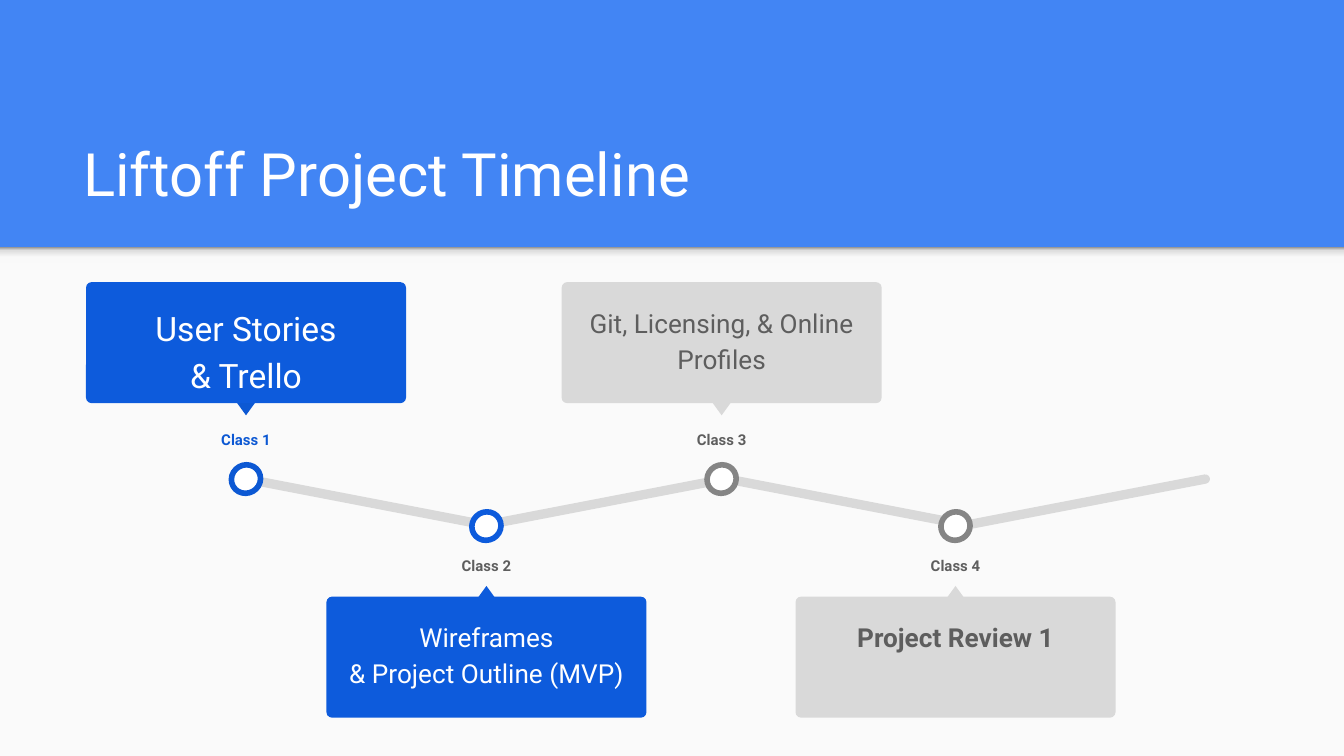
from copy import deepcopy

from lxml import etree
from pptx import Presentation
from pptx.dml.color import RGBColor
from pptx.enum.shapes import MSO_SHAPE
from pptx.enum.text import MSO_ANCHOR, MSO_AUTO_SIZE, PP_ALIGN
from pptx.oxml.ns import qn
from pptx.util import Pt

RECT, ROUND = MSO_SHAPE.RECTANGLE, MSO_SHAPE.ROUNDED_RECTANGLE
OVAL, TRIANGLE = MSO_SHAPE.OVAL, MSO_SHAPE.ISOSCELES_TRIANGLE
LEFT, CENTER = PP_ALIGN.LEFT, PP_ALIGN.CENTER
TOP, BOTTOM = MSO_ANCHOR.TOP, MSO_ANCHOR.BOTTOM
NO_FIT = MSO_AUTO_SIZE.NONE

SKY = RGBColor(0x42, 0x85, 0xF4)
BLUE = RGBColor(0x0D, 0x5B, 0xDC)
DEEP_BLUE = RGBColor(0x0C, 0x58, 0xD3)
WHITE = RGBColor(0xFF, 0xFF, 0xFF)
PAPER = RGBColor(0xFA, 0xFA, 0xFA)
SILVER = RGBColor(0xD9, 0xD9, 0xD9)
GRAY = RGBColor(0x85, 0x85, 0x85)
INK = RGBColor(0x5E, 0x5E, 0x5E)
SHADE = [(0, RGBColor(0xF9, 0xF9, 0xF9)), (36, RGBColor(0xF9, 0xF9, 0xF9)),
         (80, RGBColor(0xDE, 0xDE, 0xDE)), (100, RGBColor(0x99, 0x99, 0x99))]

MILESTONES = [
    (131.8, "Class 1", "User Stories\v& Trello", 18, False,
     BLUE, DEEP_BLUE, DEEP_BLUE, DEEP_BLUE, WHITE),
    (260.6, "Class 2", "Wireframes\v& Project Outline (MVP)", 14, False,
     BLUE, BLUE, BLUE, INK, WHITE),
    (386.6, "Class 3", "Git, Licensing, & Online Profiles", 14, False,
     SILVER, SILVER, GRAY, INK, INK),
    (511.9, "Class 4", "Project Review 1", 14, True,
     SILVER, SILVER, GRAY, INK, INK),
]
UPPER = {"card": 151.2, "arrow": 216, "label": 221.8, "node": 249.1, "turn": 180}
LOWER = {"card": 319.7, "arrow": 313.9, "label": 289.4, "node": 274.3, "turn": 0}


class Deck:
    """Slide style and the current slide, with one method per kind of element."""

    font = "Roboto"
    inset = Pt(7.2)

    def __init__(self, prs):
        self.s = prs.slides.add_slide(prs.slide_layouts[5])
        self.s.background.fill.solid()
        self.s.background.fill.fore_color.rgb = SKY

    def shape(self, kind, x, y, w, h, fill, line=None, turn=0):
        sp = self.s.shapes.add_shape(kind, Pt(x), Pt(y), Pt(w), Pt(h))
        sp.shadow.inherit = False
        sp.rotation = turn
        sp.fill.solid()
        sp.fill.fore_color.rgb = fill
        if line is None:
            sp.line.fill.background()
        else:
            sp.line.color.rgb = line
            sp.line.width = Pt(3)
        return sp

    def shade(self, x, y, w, h):
        sp = self.shape(RECT, x, y, w, h, PAPER)
        sp.fill.gradient()
        sp.fill.gradient_angle = 90
        stops = sp._element.spPr.find(qn("a:gradFill")).find(qn("a:gsLst"))
        for gs in list(stops):
            stops.remove(gs)
        for pos, color in SHADE:
            gs = etree.SubElement(stops, qn("a:gs"), pos=str(pos * 1000))
            etree.SubElement(gs, qn("a:srgbClr"), val=str(color))

    def set_text(self, sp, text, size, color, bold=False, align=CENTER, anchor=TOP):
        tf = sp.text_frame
        tf.text = text
        tf.word_wrap = True
        tf.auto_size = NO_FIT
        tf.vertical_anchor = anchor
        tf.margin_left = tf.margin_right = self.inset
        tf.margin_top = tf.margin_bottom = self.inset
        p = tf.paragraphs[0]
        p.alignment = align
        for r in p.runs:
            r.font.name = self.font
            r.font.size = Pt(size)
            r.font.bold = bold
            r.font.color.rgb = color
        for br in p._p.findall(qn("a:br")):
            br.append(deepcopy(p.runs[0]._r.rPr))
        return p

    def title(self, text, x, y, w, h):
        sp = self.s.shapes.title
        sp.left, sp.top, sp.width, sp.height = Pt(x), Pt(y), Pt(w), Pt(h)
        self.set_text(sp, text, 32, WHITE, align=LEFT, anchor=BOTTOM)

    def text(self, text, x, y, w, h, size, color, bold):
        sp = self.s.shapes.add_textbox(Pt(x), Pt(y), Pt(w), Pt(h))
        p = self.set_text(sp, text, size, color, bold)
        p.line_spacing = 1.15
        p.space_after = Pt(16)

    def segment(self, x, turn):
        sp = self.shape(ROUND, x, 266.4, 134.6, 5, SILVER, turn=turn)
        sp.adjustments[0] = 0.5

    def milestone(self, row, cx, label, text, size, bold,
                  card, arrow, ring, label_color, text_color):
        sp = self.shape(ROUND, cx - 85.7, row["card"], 171.4, 64.8, card)
        sp.adjustments[0] = 0.045
        self.shape(TRIANGLE, cx - 4.7, row["arrow"], 9.4, 6.5, arrow, turn=row["turn"])
        self.text(text, cx - 81.4, row["card"] + 3.6, 162.8, 57.6,
                  size, text_color, bold)
        self.text(label, cx - 35, row["label"], 70, 25.2, 8, label_color, True)
        self.shape(OVAL, cx - 7.9, row["node"], 15.8, 15.1, WHITE, ring, 330.2)


def main():
    prs = Presentation()
    prs.slide_width, prs.slide_height = Pt(720), Pt(405)
    deck = Deck(prs)
    deck.shape(RECT, 0, 132.5, 720, 272.5, PAPER)
    deck.shade(0, 132.5, 720, 8.6)
    deck.title("Liftoff Project Timeline", 37.4, 58.3, 647.3, 60.5)
    for i in range(4):
        deck.segment(128.4 + 128.8 * i, -10.9 if i % 2 else 10.9)
    for i, milestone in enumerate(MILESTONES):
        deck.milestone(LOWER if i % 2 else UPPER, *milestone)
    prs.save("out.pptx")


if __name__ == "__main__":
    main()
